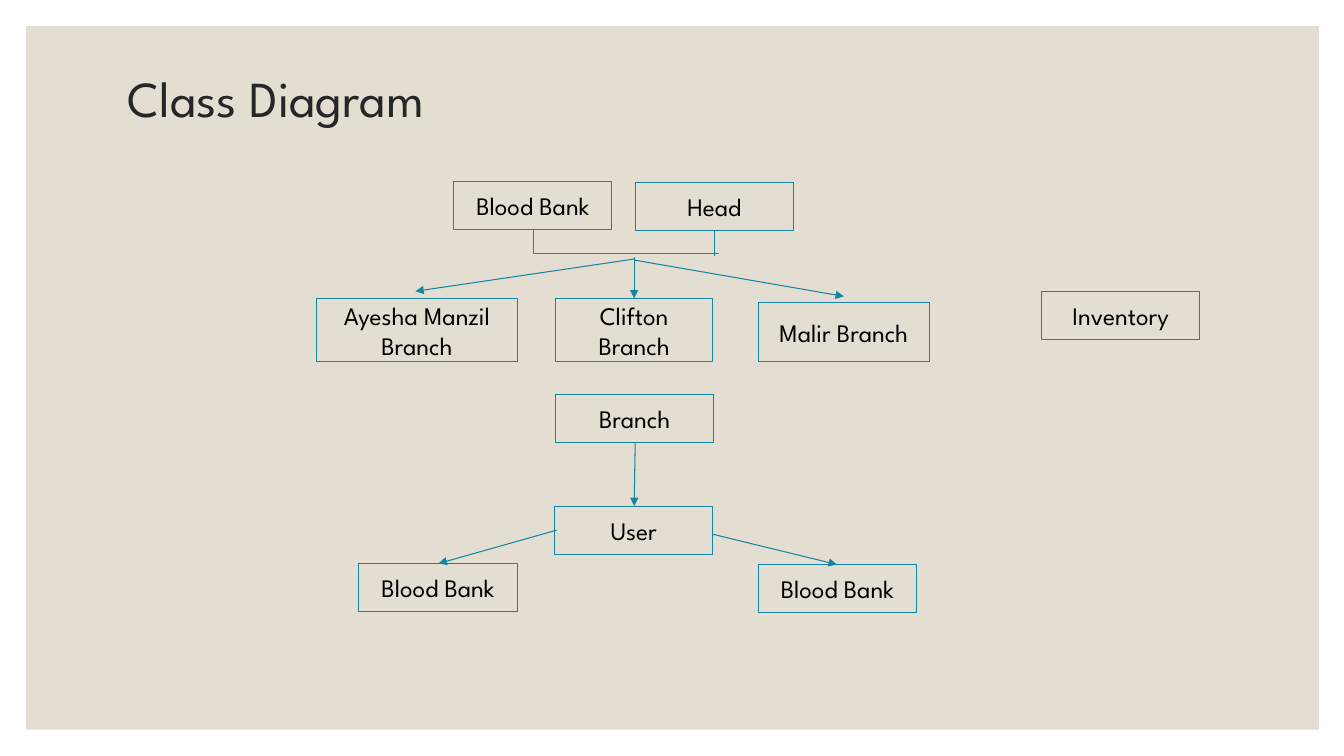
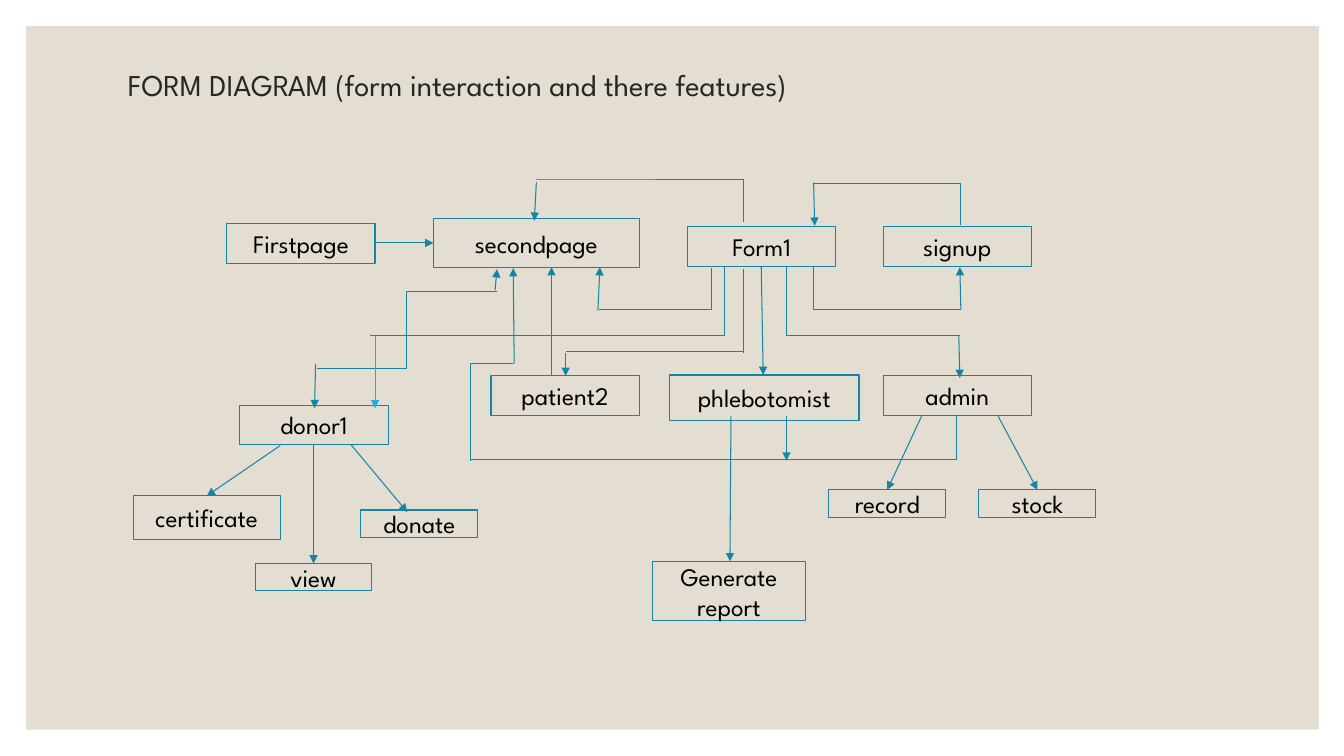
from dataclasses import dataclass

from lxml import etree
from pptx import Presentation
from pptx.dml.color import RGBColor
from pptx.enum import shapes, text
from pptx.oxml.ns import qn
from pptx.util import Pt

PX = 9144  # EMU per px, 100 px to the inch


@dataclass(frozen=True)
class Theme:
    font: str = "League Spartan"
    panel: str = "E3DED1"
    title: str = "262626"
    label: str = "000000"
    line: str = "1485A4"
    accent: str = "1CADE4"
    label_size: float = 18
    line_width: float = 0.75
    accent_width: float = 0.5


THEME = Theme()
SLIDE = (1333, 750)
PANEL = (26, 26, 1282, 698)

CLASS_BOX = (157, 48)
FORM_BOX = (147, 39)
FEATURE_BOX = (116, 27)

# boxes: label, left, top, width, height
# arrows, lines, accents: x1, y1, x2, y2
# elbows: run level from x1, y1, then turn once to reach x2, y2
# steps: level, upright at half way, level
CLASS_DIAGRAM = {
    "title": ("Class Diagram", 36, (117, 61, 420, 79)),
    "boxes": [
        ("Blood Bank", 450, 180, *CLASS_BOX),
        ("Head", 630, 181, *CLASS_BOX),
        ("Ayesha Manzil Branch", 314, 296, 199, 63),
        ("Clifton Branch", 551, 296, 156, 63),
        ("Malir Branch", 752, 300, 170, 59),
        ("Inventory", 1033, 289, *CLASS_BOX),
        ("Branch", 551, 391, *CLASS_BOX),
        ("User", 550, 502, *CLASS_BOX),
        ("Blood Bank", 356, 559, *CLASS_BOX),
        ("Blood Bank", 752, 560, *CLASS_BOX),
    ],
    "arrows": [
        (629, 255, 629, 296), (629, 257, 412, 289), (629, 258, 837, 294),
        (630, 439, 629, 502), (552, 526, 435, 559), (707, 530, 830, 560),
    ],
    "lines": [(709, 254, 709, 229)],
    "elbows": [(713, 252, 529, 228)],
}

FORM_DIAGRAM = {
    "title": ("FORM DIAGRAM (form interaction and there features)", 21.6,
              (117, 55, 821, 63)),
    "boxes": [
        ("Firstpage", 225, 222, *FORM_BOX),
        ("secondpage", 430, 217, 204, 48),
        ("Form1", 682, 225, *FORM_BOX),
        ("signup", 876, 225, *FORM_BOX),
        ("donor1", 238, 402, *FORM_BOX),
        ("patient2", 487, 373, *FORM_BOX),
        ("phlebotomist", 664, 372, 188, 45),
        ("admin", 876, 373, *FORM_BOX),
        ("certificate", 132, 492, 146, 43),
        ("donate", 358, 506, *FEATURE_BOX),
        ("view", 253, 559, *FEATURE_BOX),
        ("record", 822, 486, *FEATURE_BOX),
        ("stock", 971, 486, *FEATURE_BOX),
        ("Generate report", 647, 557, 152, 59),
    ],
    "arrows": [
        # between forms
        (372, 241, 430, 241), (953, 307, 952, 265), (807, 181, 808, 224),
        (532, 181, 530, 219), (951, 333, 952, 375), (755, 265, 757, 372),
        (313, 361, 312, 405), (561, 350, 561, 373), (593, 308, 595, 265),
        (547, 372, 547, 265), (780, 413, 780, 457), (510, 361, 509, 266),
        (491, 288, 493, 267),
        # from a form to its features
        (725, 413, 724, 557), (311, 441, 311, 559), (278, 442, 205, 492),
        (348, 441, 404, 508), (990, 413, 1029, 486), (914, 413, 880, 486),
    ],
    "lines": [(737, 267, 737, 350), (738, 349, 561, 349)],
    "elbows": [
        (953, 307, 807, 265), (807, 182, 953, 223), (624, 178, 737, 220),
        (952, 333, 780, 265), (367, 333, 719, 265), (594, 307, 706, 266),
        (466, 456, 949, 413), (509, 361, 467, 457),
    ],
    "steps": [(314, 366, 493, 289)],
    "accents": [(532, 178, 650, 178)],
    "accent_arrows": [(372, 333, 372, 405)],
}

# group: preset outline, arrowhead, colour, width
LINE_KINDS = {
    "elbows": ("bentConnector2", False, THEME.line, THEME.line_width),
    "steps": ("bentConnector3", False, THEME.line, THEME.line_width),
    "lines": ("line", False, THEME.line, THEME.line_width),
    "arrows": ("line", True, THEME.line, THEME.line_width),
    "accents": ("line", False, THEME.accent, THEME.accent_width),
    "accent_arrows": ("line", True, THEME.accent, THEME.accent_width),
}


def emu(lengths):
    return [n * PX for n in lengths]


def rgb(value):
    return RGBColor.from_string(value)


def write(tf, words, size, color, **paragraph_format):
    tf.word_wrap = True
    tf.vertical_anchor = text.MSO_ANCHOR.MIDDLE
    p = tf.paragraphs[0]
    for name, value in paragraph_format.items():
        setattr(p, name, value)
    r = p.add_run()
    r.text = words
    for name, value in {"name": THEME.font, "size": Pt(size)}.items():
        setattr(r.font, name, value)
    r.font.color.rgb = rgb(color)


def add_rect(slide, frame):
    sp = slide.shapes.add_shape(shapes.MSO_SHAPE.RECTANGLE, *emu(frame))
    sp.shadow.inherit = False
    sp.fill.solid()
    sp.fill.fore_color.rgb = rgb(THEME.panel)
    sp.line.fill.background()
    return sp


def add_box(slide, label, *frame):
    sp = add_rect(slide, frame)
    sp.line.color.rgb = rgb(THEME.line)
    sp.line.width = Pt(THEME.line_width)
    for side in ("left", "top", "right", "bottom"):
        setattr(sp.text_frame, f"margin_{side}", 10 * PX)
    write(sp.text_frame, label, THEME.label_size, THEME.label,
          alignment=text.PP_ALIGN.CENTER)


def add_line(slide, ends, preset, arrow, color, width):
    cxn = slide.shapes.add_connector(shapes.MSO_CONNECTOR.STRAIGHT, *emu(ends))
    cxn.line.color.rgb = rgb(color)
    cxn.line.width = Pt(width)
    props = cxn._element.spPr
    props.find(qn("a:prstGeom")).set("prst", preset)
    if arrow:
        etree.SubElement(props.find(qn("a:ln")), qn("a:tailEnd"), type="triangle")
    etree.SubElement(props, qn("a:effectLst"))


def add_diagram(prs, diagram):
    slide = prs.slides.add_slide(prs.slide_layouts[6])
    add_rect(slide, PANEL)
    words, size, frame = diagram["title"]
    title = slide.shapes.add_textbox(*emu(frame))
    write(title.text_frame, words, size, THEME.title, line_spacing=0.9)
    for box in diagram["boxes"]:
        add_box(slide, *box)
    for group, style in LINE_KINDS.items():
        for ends in diagram.get(group, []):
            add_line(slide, ends, *style)


def main():
    prs = Presentation()
    prs.slide_width, prs.slide_height = emu(SLIDE)
    for diagram in (CLASS_DIAGRAM, FORM_DIAGRAM):
        add_diagram(prs, diagram)
    prs.save("out.pptx")


if __name__ == "__main__":
    main()
